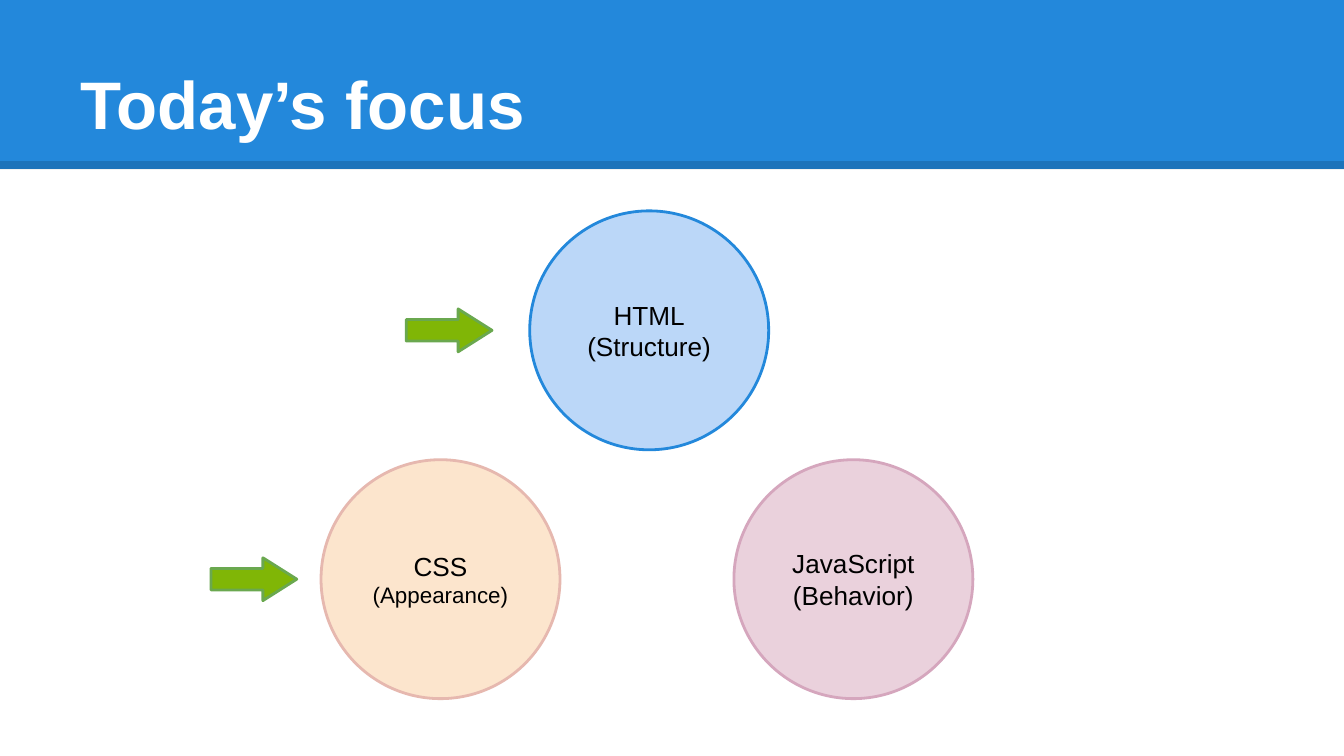
from lxml.etree import SubElement
from pptx import Presentation
from pptx.dml.color import RGBColor
from pptx.enum.shapes import MSO_CONNECTOR as CONN, MSO_SHAPE as SHAPE
from pptx.enum.text import MSO_ANCHOR as ANCHOR, MSO_AUTO_SIZE as AUTO, PP_ALIGN as ALIGN
from pptx.oxml.ns import qn
from pptx.util import Pt

W, H = 720, 405
BAND_H = 90.5
CIRCLE = 128
ARROW_W, ARROW_H = 46, 23
INSET = 7.2

COLORS = {
    "band": "2388DB", "rule": "000000", "title": "FFFFFF", "text": "000000",
    "html": "BBD7F8", "html_line": "2388DB",
    "css": "FCE5CD", "css_line": "E6B8AF",
    "js": "EAD1DC", "js_line": "D5A6BD",
    "arrow": "80B606", "arrow_line": "6AA84F",
}

# Left, top, colour key, lines of text with sizes, gap to a pointing arrow
TOPICS = [
    (393.2, 246.3, "js", [("JavaScript", 14), ("(Behavior)", 14)], None),
    (283.8, 113, "html", [("HTML", 14), ("(Structure)", 14)], 20.2),
    (172, 246.3, "css", [("CSS", 14), ("(Appearance)", 12)], 13),
]


def rgb(name):
    return RGBColor.from_string(COLORS[name])


def add_figure(s, kind, box, fill, line=None):
    sp = s.shapes.add_shape(kind, *map(Pt, box))
    sp.shadow.inherit = False
    sp.fill.solid()
    sp.fill.fore_color.rgb = rgb(fill)
    if line:
        sp.line.color.rgb = rgb(line)
        sp.line.width = Pt(1.5)
    else:
        sp.line.fill.background()
    return sp


def set_frame(tf, anchor):
    tf.word_wrap = True
    tf.auto_size = AUTO.NONE
    tf.vertical_anchor = anchor
    tf.margin_left = tf.margin_right = tf.margin_top = tf.margin_bottom = Pt(INSET)


def write(p, text, size=14, color="text", bold=False, align=ALIGN.CENTER):
    p.alignment = align
    r = p.add_run()
    r.text = text
    r.font.name = "Arial"
    r.font.size = Pt(size)
    r.font.bold = bold
    r.font.color.rgb = rgb(color)


def add_header(s, box, text):
    x, y, w, h = box
    band = add_figure(s, SHAPE.RECTANGLE, box, "band")

    # Translucent rule along the bottom edge
    rule_y = y + h - 2
    rule = s.shapes.add_connector(CONN.STRAIGHT, Pt(x), Pt(rule_y), Pt(x + w), Pt(rule_y))
    rule.line.width = Pt(4.5)
    rule.line.color.rgb = rgb("rule")
    sp_pr = rule.element.spPr
    SubElement(sp_pr.find(".//" + qn("a:srgbClr")), qn("a:alpha"), val="15000")
    SubElement(sp_pr, qn("a:effectLst"))

    # Title, in front of the band
    title = s.shapes.title
    for part in (band, rule):
        title.element.addprevious(part.element)
    title.left, title.top = Pt(x + 36), Pt(y + 16.5)
    title.width, title.height = Pt(w - 72), Pt(67.5)
    set_frame(title.text_frame, ANCHOR.BOTTOM)
    write(title.text_frame.paragraphs[0], text, size=36, color="title",
          bold=True, align=ALIGN.LEFT)


def add_topic(s, box, key, lines, gap):
    x, y, w, h = box
    tf = add_figure(s, SHAPE.OVAL, box, key, key + "_line").text_frame
    set_frame(tf, ANCHOR.MIDDLE)
    for i, (text, size) in enumerate(lines):
        write(tf.add_paragraph() if i else tf.paragraphs[0], text, size=size)

    # Arrow centred on the circle's left side
    if gap is not None:
        arrow_box = (x - gap - ARROW_W, y + (h - ARROW_H) / 2, ARROW_W, ARROW_H)
        arrow = add_figure(s, SHAPE.RIGHT_ARROW, arrow_box, "arrow", "arrow_line")
        arrow.adjustments[1] = 0.79


def main():
    prs = Presentation()
    prs.slide_width, prs.slide_height = Pt(W), Pt(H)
    s = prs.slides.add_slide(prs.slide_layouts[5])
    add_header(s, (0, 0, W, BAND_H), "Today’s focus")
    for x, y, key, lines, gap in TOPICS:
        add_topic(s, (x, y, CIRCLE, CIRCLE), key, lines, gap)
    prs.save("out.pptx")


if __name__ == "__main__":
    main()
